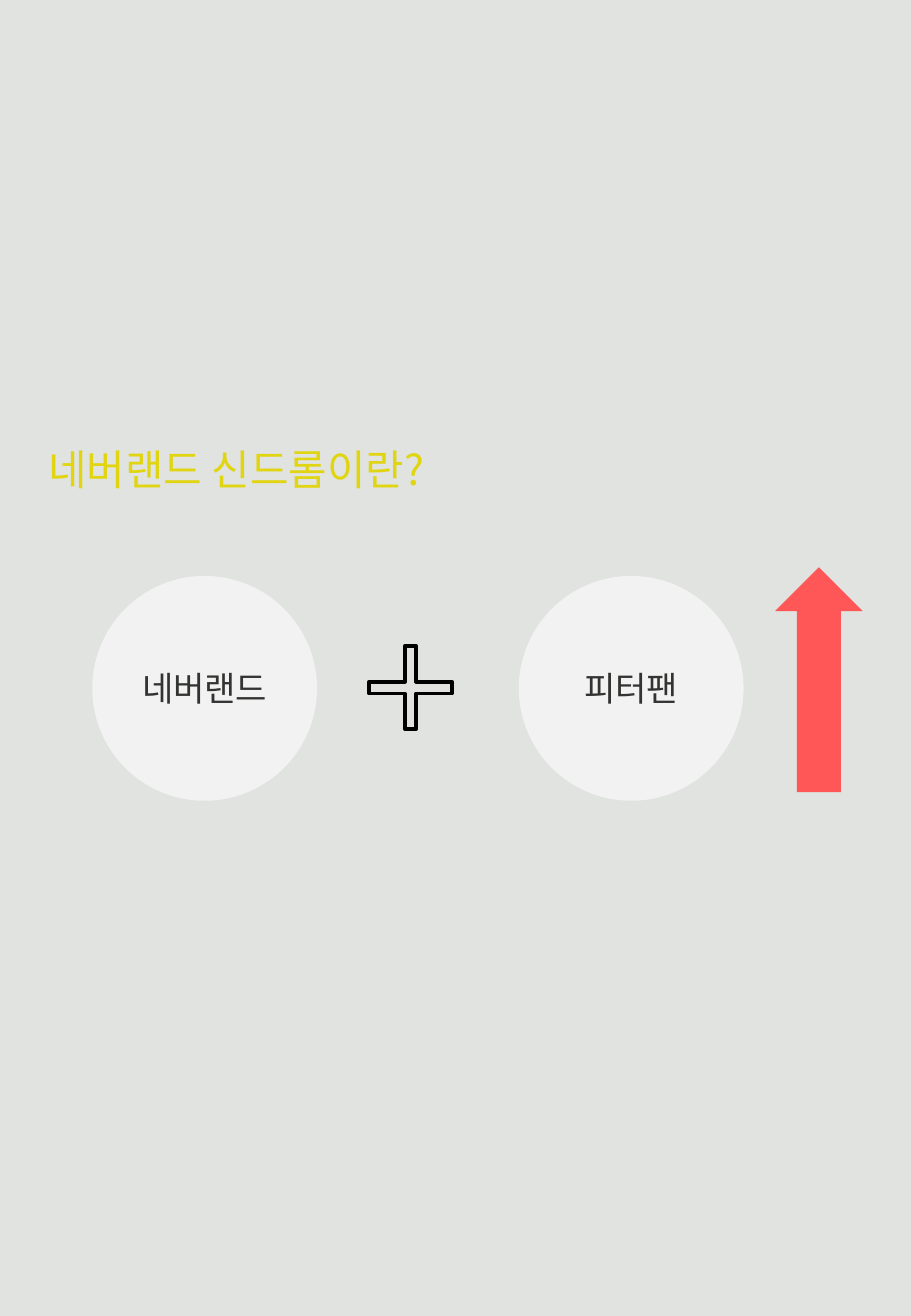
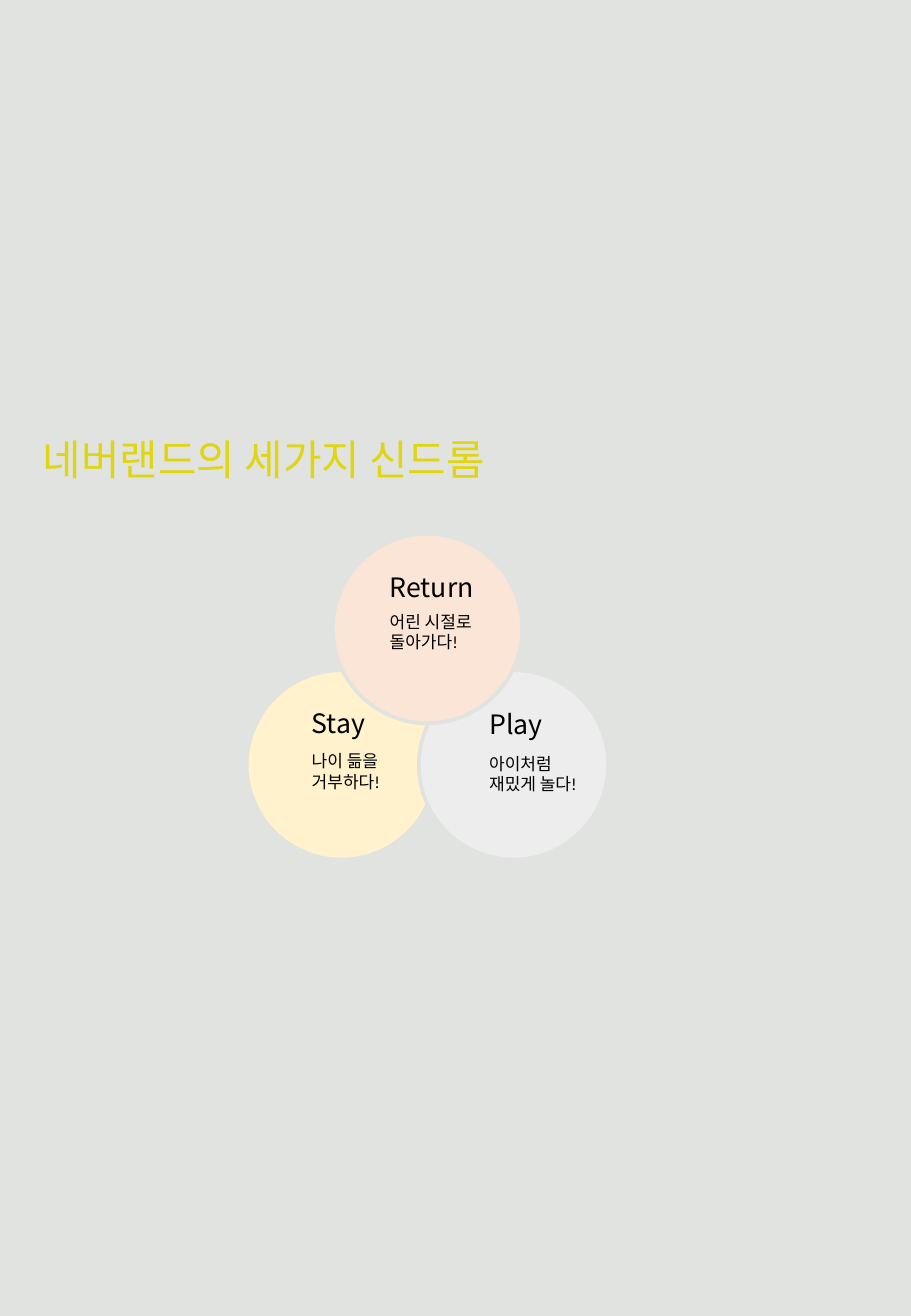
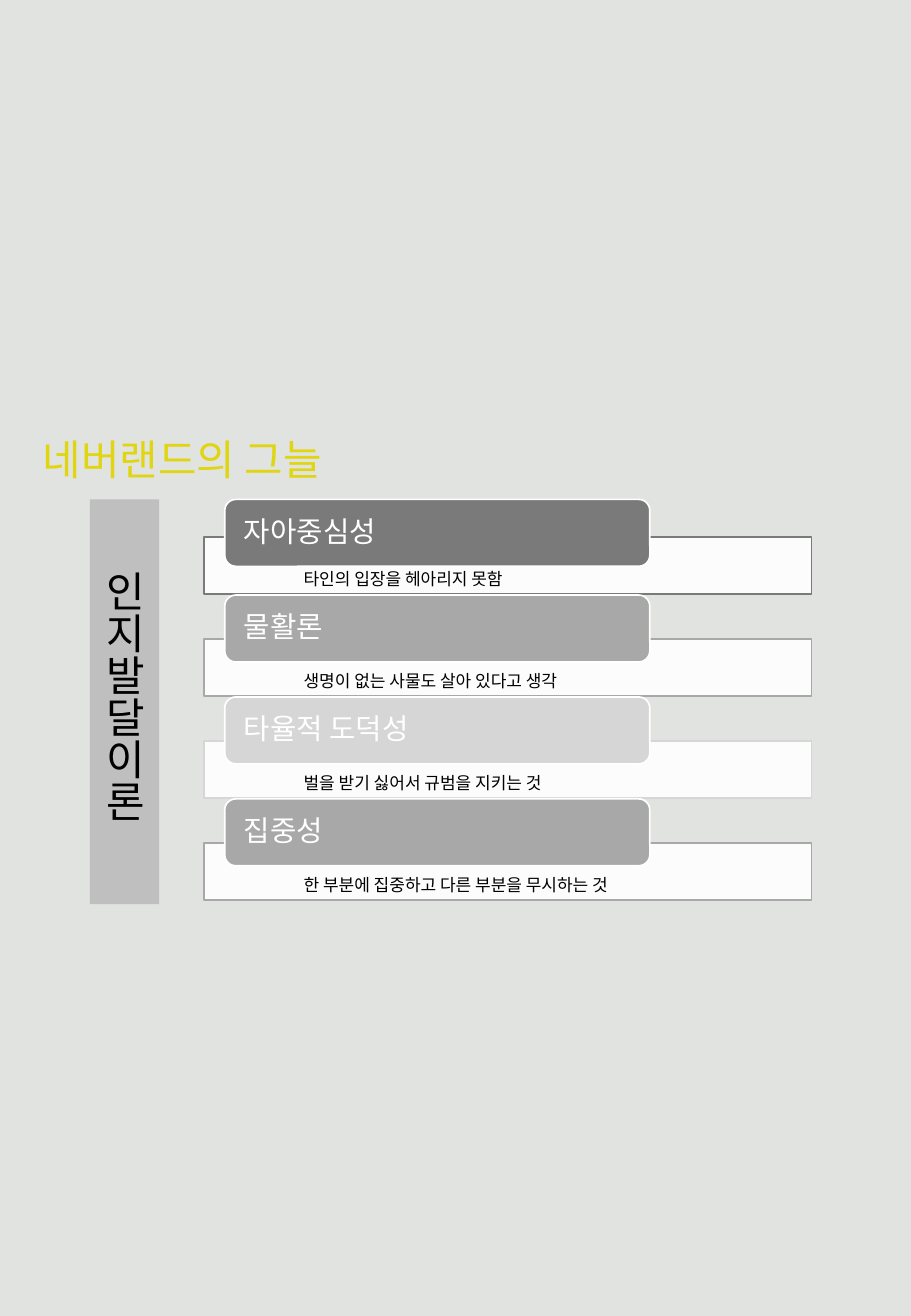
from lxml.etree import SubElement
from pptx import Presentation
from pptx.dml.color import RGBColor
from pptx.enum.shapes import MSO_SHAPE as SHAPE
from pptx.enum.text import MSO_ANCHOR as ANCHOR, MSO_AUTO_SIZE as FIT, PP_ALIGN as ALIGN
from pptx.oxml.ns import qn
from pptx.util import Cm, Pt


def color(hex_value):
    return RGBColor.from_string(hex_value)


class Deck:
    KOREAN = "Noto Sans CJK KR"
    LATIN = "Calibri"
    BACKGROUND = "E0E3DF"
    TITLE = "E1D511"
    BLACK = "000000"
    WHITE = "FFFFFF"
    LARGE, HEADING, SMALL = 24.8, 15.8, 10.1

    def __init__(self):
        self.prs = Presentation()
        self.prs.slide_width, self.prs.slide_height = Cm(19.05), Cm(27.51)
        fill = self.prs.slide_master.background.fill
        fill.solid()
        fill.fore_color.rgb = color(self.BACKGROUND)

    def set_text(self, frame, text, size, ink, font, align=ALIGN.LEFT):
        frame.text = text
        for paragraph in frame.paragraphs:
            paragraph.alignment = align
            paragraph.font.size = Pt(size)
            paragraph.font.name = font
            paragraph.font.color.rgb = color(ink)
            defaults = paragraph._p.get_or_add_pPr().find(qn("a:defRPr"))
            SubElement(defaults, qn("a:ea")).set("typeface", self.KOREAN)

    def new_slide(self, title, left, top, width):
        self.slide = self.prs.slides.add_slide(self.prs.slide_layouts[5])
        holder = self.slide.shapes.title
        holder.left, holder.top, holder.width, holder.height = map(Cm, (left, top, width, 1.32))
        frame = holder.text_frame
        self.set_text(frame, title, self.LARGE, self.TITLE, self.KOREAN)
        frame.vertical_anchor = ANCHOR.TOP
        frame.word_wrap = False
        frame.auto_size = FIT.SHAPE_TO_FIT_TEXT

    def shape(self, kind, left, top, width, height, fill, line=None, weight=1, alpha=None):
        item = self.slide.shapes.add_shape(kind, *map(Cm, (left, top, width, height)))
        item.shadow.inherit = False
        item.fill.solid()
        item.fill.fore_color.rgb = color(fill)
        if alpha:
            tint = item.fill._xPr.find(qn("a:solidFill"))[0]
            SubElement(tint, qn("a:alpha")).set("val", str(alpha * 1000))
        if line:
            item.line.color.rgb = color(line)
            item.line.width = Pt(weight)
        else:
            item.line.fill.background()
        return item

    def text(self, text, left, top, width, height, size, font, vertical=False):
        box = self.slide.shapes.add_textbox(*map(Cm, (left, top, width, height)))
        frame = box.text_frame
        self.set_text(frame, text, size, self.BLACK, font)
        frame.word_wrap = vertical
        frame.auto_size = FIT.SHAPE_TO_FIT_TEXT
        if vertical:
            frame._txBody.bodyPr.set("vert", "eaVert")

    def disc(self, label, left):
        frame = self.shape(SHAPE.OVAL, left, 12.04, 4.7, 4.7, "F2F2F2").text_frame
        frame.vertical_anchor = ANCHOR.MIDDLE
        self.set_text(frame, label, 20.2, "323431", self.LATIN, ALIGN.CENTER)

    def petal(self, center_x, center_y, fill):
        size = 3.96
        self.shape(SHAPE.OVAL, center_x - size / 2, center_y - size / 2, size, size,
                   fill, self.BACKGROUND, 2.2)

    def trait(self, heading, caption, caption_width, shade, row_top, tab_top):
        self.shape(SHAPE.RECTANGLE, 4.27, row_top, 12.7, 1.19, self.WHITE, shade, alpha=90)
        tab = self.shape(SHAPE.ROUNDED_RECTANGLE, 4.7, tab_top, 8.89, 1.4, shade, self.WHITE)
        frame = tab.text_frame
        frame.margin_left = frame.margin_right = Cm(0.33)
        frame.margin_top = frame.margin_bottom = 0
        frame.vertical_anchor = ANCHOR.MIDDLE
        self.set_text(frame, heading, 17, self.WHITE, self.LATIN)
        frame.paragraphs[0].line_spacing = 0.9
        self.text(caption, 6.1, row_top + 0.53, caption_width, 0.69, self.SMALL, self.LATIN)


def add_definition(deck):
    deck.new_slide("네버랜드 신드롬이란?", 0.76, 9.14, 9.25)
    deck.disc("네버랜드", 1.93)
    deck.disc("피터팬", 10.85)
    plus = deck.shape(SHAPE.CROSS, 7.72, 13.51, 1.73, 1.73, "E1E1E0", deck.BLACK, 2.25)
    plus.adjustments[0] = 0.43
    deck.shape(SHAPE.UP_ARROW, 16.21, 11.86, 1.83, 4.7, "FF5757")


def add_syndromes(deck):
    deck.new_slide("네버랜드의 세가지 신드롬", 0.64, 8.94, 10.69)
    middle, upper, lower, spread = 8.94, 13.14, 15.99, 1.8
    deck.petal(middle - spread, lower, "FFF2CC")
    deck.petal(middle + spread, lower, "EDEDED")
    deck.petal(middle, upper, "FBE5D6")
    syndromes = [
        ("Return", 7.9, 11.81, 2.57, "어린 시절로\n돌아가다!", 12.65, 2.44),
        ("Stay", 6.27, 14.66, 1.85, "나이 듦을\n거부하다!", 15.57, 2.08),
        ("Play", 9.98, 14.68, 1.85, "아이처럼\n재밌게 놀다!", 15.62, 2.54),
    ]
    for name, left, top, width, meaning, meaning_top, meaning_width in syndromes:
        deck.text(name, left, top, width, 0.94, deck.HEADING, deck.KOREAN)
        deck.text(meaning, left, meaning_top, meaning_width, 1.12, deck.SMALL, deck.LATIN)


def add_shadows(deck):
    deck.new_slide("네버랜드의 그늘", 0.64, 8.94, 6.93)
    traits = [
        ("자아중심성", "타인의 입장을 헤아리지 못함", 5.21, "7A7A7A"),
        ("물활론", "생명이 없는 사물도 살아 있다고 생각", 6.55, "A8A8A8"),
        ("타율적 도덕성", "벌을 받기 싫어서 규범을 지키는 것", 6.2, "D6D6D6"),
        ("집중성", "한 부분에 집중하고 다른 부분을 무시하는 것", 7.75, "A8A8A8"),
    ]
    panel_top = 10.44
    for index, trait in enumerate(traits):
        row_top = 11.23 + 2.13 * index
        deck.trait(*trait, row_top, max(panel_top, row_top - 0.92))
    deck.shape(SHAPE.RECTANGLE, 1.88, panel_top, 1.45, 8.46, "BFBFBF")
    deck.text("인지발달이론", 0.61, 11.68, 2.64, 5.97, deck.LARGE, deck.KOREAN, vertical=True)


def main():
    deck = Deck()
    add_definition(deck)
    add_syndromes(deck)
    add_shadows(deck)
    deck.prs.save("out.pptx")


if __name__ == "__main__":
    main()
